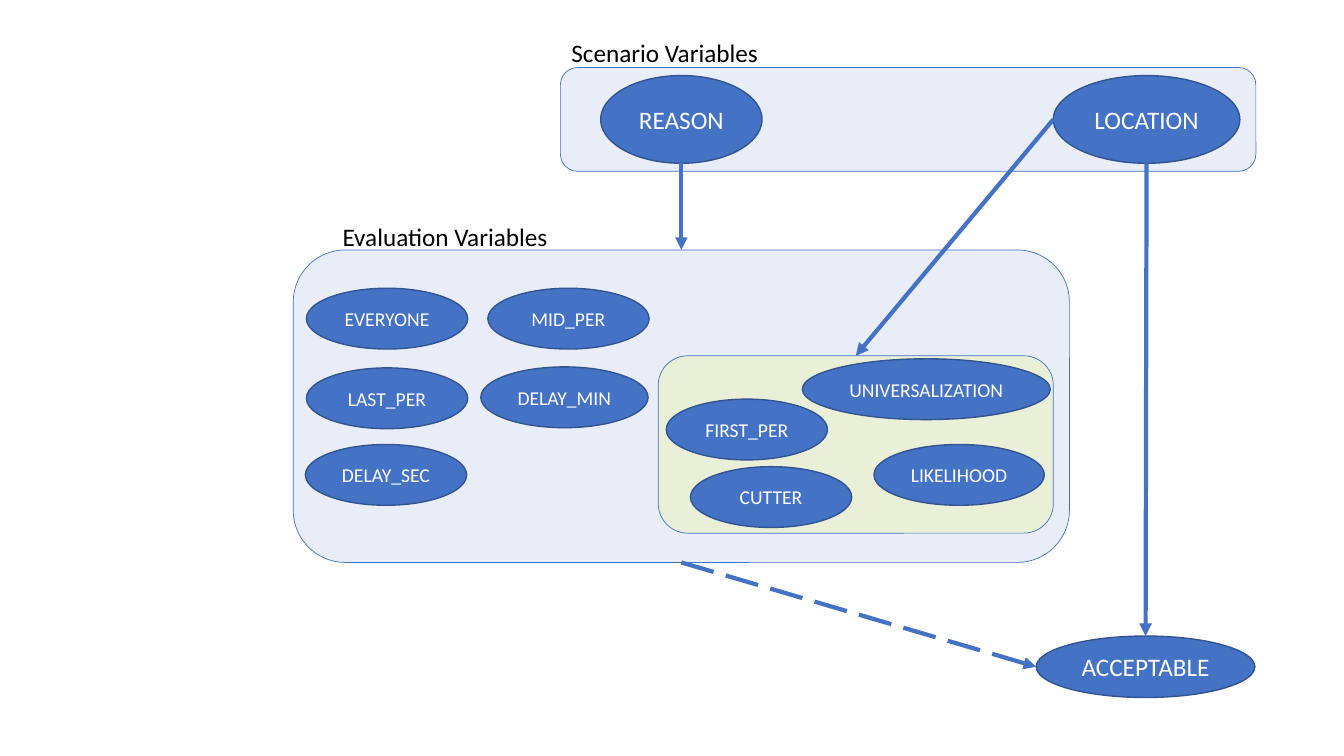
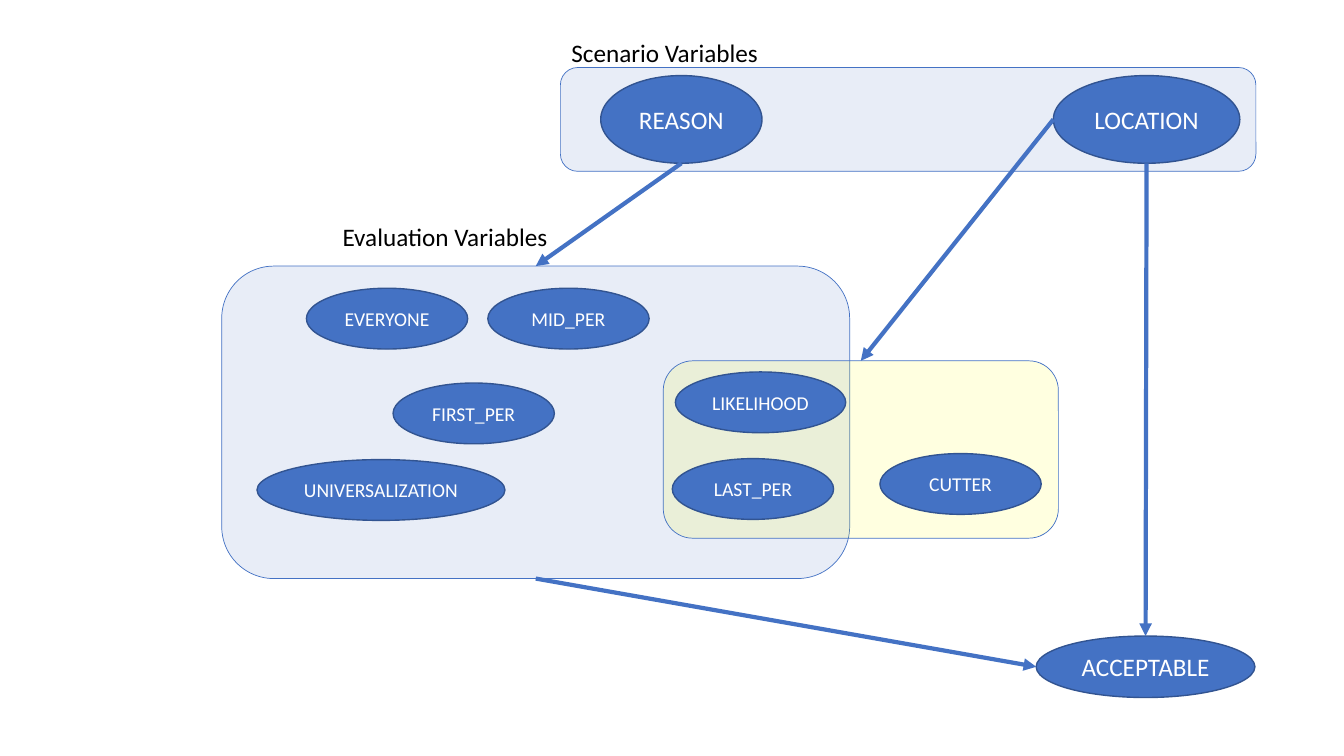
from pptx import Presentation
from pptx.dml.color import RGBColor
from pptx.enum.dml import MSO_LINE_DASH_STYLE as Dash
from pptx.enum.shapes import MSO_CONNECTOR as Connector, MSO_SHAPE as Shape
from pptx.enum.text import MSO_ANCHOR as Anchor, MSO_AUTO_SIZE as AutoSize, PP_ALIGN as Align
from pptx.oxml.ns import qn
from pptx.util import Inches, Pt
from lxml.etree import SubElement

# Shared style; the grid has 40 columns and 22.5 rows
COLORS = {"blue": "4472C4", "outline": "325491", "yellow": "FFFF00",
          "white": "FFFFFF", "black": "000000"}
FONT = "Calibri"
COLUMNS, ROWS = 40, 22.5
CELL = Inches(1) / 3
OPACITY = 12

# Evaluation ellipses share one size, except for the long names
NODE_WIDTH, NODE_HEIGHT = 4.8, 1.81
WIDE_NODES = {"UNIVERSALIZATION": 7.38, "LIKELIHOOD": 5.07, "DELAY_MIN": 4.98}

# What differs between the two models: positions in columns and rows
MODELS = [
    {
        "evaluation": (8.73, 7.44, 23.1, 9.3),
        "location_group": (19.59, 10.59, 11.76, 5.28),
        "nodes": {
            "EVERYONE": (9.12, 8.58), "MID_PER": (14.52, 8.58),
            "FIRST_PER": (19.83, 11.88), "CUTTER": (20.55, 13.89),
            "UNIVERSALIZATION": (23.88, 10.68), "LIKELIHOOD": (26.01, 13.23),
            "LAST_PER": (9.12, 10.95), "DELAY_MIN": (14.31, 10.92),
            "DELAY_SEC": (9.09, 13.23),
        },
        "dash": Dash.LONG_DASH,
    },
    {
        "evaluation": (6.6, 7.92, 18.69, 9.3),
        "location_group": (19.74, 10.74, 11.76, 5.28),
        "nodes": {
            "EVERYONE": (9.12, 8.58), "MID_PER": (14.52, 8.58),
            "FIRST_PER": (11.7, 11.4), "CUTTER": (26.19, 13.5),
            "UNIVERSALIZATION": (7.65, 13.68), "LIKELIHOOD": (20.1, 11.07),
            "LAST_PER": (20.01, 13.65),
        },
        "dash": None,
    },
]


def rgb(name):
    return RGBColor.from_string(COLORS[name])


def on_grid(box):
    return [round(length * CELL) for length in box]


def add_run(paragraph, text, size, color):
    run = paragraph.add_run()
    run.text = text
    run.font.name = FONT
    run.font.size = Pt(size)
    run.font.color.rgb = rgb(color)


def add_outlined(slide, kind, box, fill, line, line_width):
    shape = slide.shapes.add_shape(kind, *on_grid(box))
    shape.shadow.inherit = False
    shape.fill.solid()
    shape.fill.fore_color.rgb = rgb(fill)
    shape.line.color.rgb = rgb(line)
    shape.line.width = Pt(line_width)
    return shape


def add_group_panel(slide, box, fill="blue"):
    panel = add_outlined(slide, Shape.ROUNDED_RECTANGLE, box, fill, "blue", 0.5)
    color = panel.fill._xPr.find(qn("a:solidFill"))[0]
    SubElement(color, qn("a:alpha")).set("val", str(OPACITY * 1000))
    return panel


def add_node(slide, text, box, size=18):
    node = add_outlined(slide, Shape.OVAL, box, "blue", "outline", 1)
    node.text_frame.vertical_anchor = Anchor.MIDDLE
    paragraph = node.text_frame.paragraphs[0]
    paragraph.alignment = Align.CENTER
    add_run(paragraph, text, size, "white")
    return node


def add_label(slide, text, box):
    frame = slide.shapes.add_textbox(*on_grid(box)).text_frame
    frame.word_wrap = False
    frame.auto_size = AutoSize.SHAPE_TO_FIT_TEXT
    add_run(frame.paragraphs[0], text, 18, "black")


def side_point(shape, side):
    across, down = {"top": (0.5, 0), "bottom": (0.5, 1), "left": (0, 0.5)}[side]
    return (round(shape.left + across * shape.width),
            round(shape.top + down * shape.height))


def add_arrow(slide, source, source_side, target, target_side, dash=None):
    arrow = slide.shapes.add_connector(
        Connector.STRAIGHT, *side_point(source, source_side), *side_point(target, target_side))
    arrow.line.color.rgb = rgb("blue")
    arrow.line.width = Pt(3)
    if dash is not None:
        arrow.line.dash_style = dash
    SubElement(arrow.line._get_or_add_ln(), qn("a:tailEnd")).set("type", "triangle")
    SubElement(arrow._element.spPr, qn("a:effectLst"))


def add_model(slide, model):
    # Scenario variables and the outcome
    add_group_panel(slide, (16.68, 2.01, 20.7, 3.09))
    location = add_node(slide, "LOCATION", (31.35, 2.25, 5.55, 2.61))
    acceptable = add_node(slide, "ACCEPTABLE", (30.84, 18.93, 6.51, 1.83))
    reason = add_node(slide, "REASON", (17.88, 2.25, 4.8, 2.61))

    # Evaluation variables
    evaluation = add_group_panel(slide, model["evaluation"])
    location_group = add_group_panel(slide, model["location_group"], "yellow")
    for name, position in model["nodes"].items():
        width = WIDE_NODES.get(name, NODE_WIDTH)
        add_node(slide, name, (*position, width, NODE_HEIGHT), 14)

    # Influences
    add_arrow(slide, location, "bottom", acceptable, "top")
    add_arrow(slide, reason, "bottom", evaluation, "top")
    add_arrow(slide, location, "left", location_group, "top")
    add_arrow(slide, evaluation, "bottom", acceptable, "left", model["dash"])

    # Group names
    add_label(slide, "Scenario Variables", (16.71, 0.96, 6.21, 1.2))
    add_label(slide, "Evaluation Variables", (9.9, 6.45, 6.78, 1.2))


def main():
    presentation = Presentation()
    presentation.slide_width, presentation.slide_height = on_grid((COLUMNS, ROWS))
    blank_layout = presentation.slide_layouts[6]
    for model in MODELS:
        add_model(presentation.slides.add_slide(blank_layout), model)
    presentation.save("out.pptx")


main()
